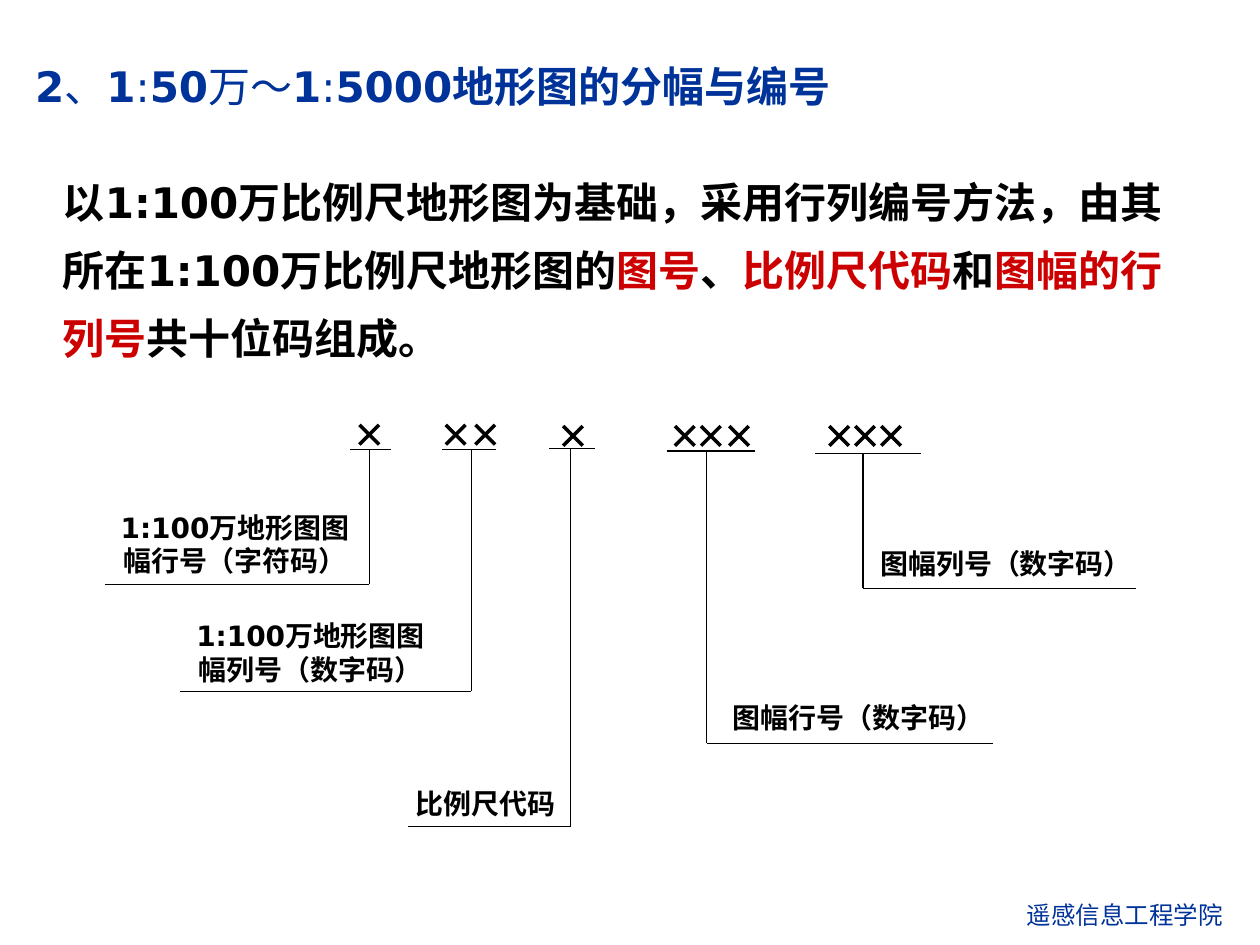
"""Build a slide on how topographic map sheets are numbered."""
from lxml import etree
from pptx import Presentation
from pptx.dml.color import RGBColor
from pptx.enum.shapes import MSO_CONNECTOR
from pptx.enum.text import PP_ALIGN
from pptx.oxml.ns import qn
from pptx.util import Pt

LINE = MSO_CONNECTOR.STRAIGHT
LEFT, MID = PP_ALIGN.LEFT, PP_ALIGN.CENTER
BLUE, RED, BLACK = "003399", "CC0000", "000000"
LATIN, HAN = "DejaVu Sans", "Noto Sans CJK SC"

deck = Presentation()
deck.slide_width, deck.slide_height = Pt(720), Pt(540)
slide = deck.slides.add_slide(deck.slide_layouts[6])


def write(place, texts, size, color, bold, align):
    box = slide.shapes.add_textbox(*map(Pt, place))
    box.text_frame.word_wrap = True
    para = box.text_frame.paragraphs[0]
    para.alignment = align
    para.font.name, para.font.size = LATIN, Pt(size)
    if bold is not None:
        para.font.bold = bold
    if color:
        para.font.color.rgb = RGBColor.from_string(color)
    for text in texts:
        para.add_run().text = text
    return para


def draw(x1, y1, x2, y2, width):
    line = slide.shapes.add_connector(LINE, Pt(x1), Pt(y1), Pt(x2), Pt(y2))
    line.line.width = Pt(width)
    line.line.color.rgb = RGBColor.from_string(BLACK)
    etree.SubElement(line.element.spPr, qn("a:effectLst"))


write((579.6, 510.5, 140.4, 24.5), ["遥感信息工程学院"], 14, BLUE, False, LEFT)

title = ["2", "、", "1", ":", "50", "万～", "1", ":", "5000地形图的分幅与编号"]
para = write((11.5, 31, 471.6, 36), title, 24, BLUE, None, MID)
for i, run in enumerate(para.runs):
    run.font.bold = i % 2 == 0

body = [
    "以1:100万比例尺地形图为基础，采用行列编号方法，由其所在1:100万比例尺地形图的",
    "图号", "、", "比例尺代码", "和", "图幅的行列号", "共十位码组成。",
]
para = write((28.8, 87.1, 663.8, 123.8), body, 24, None, True, LEFT)
para.line_spacing = 1.35
for i, run in enumerate(para.runs):
    run.font.color.rgb = RGBColor.from_string(RED if i % 2 else BLACK)

# code part: crosses, cross y, rule (left, right, y), stem (x, end), foot x, label place, label
parts = [
    ([211], 248.4, (200.2, 223.2, 257), (211, 334), 59.8,
     (54.7, 288, 159.1, 46.1), ["1:100", "万地形图图幅行号（字符码）"]),
    ([260.4, 277.3], 248.4, (252.7, 283.7, 257), (269.3, 395), 103,
     (97.9, 349.9, 159.1, 46.1), ["1:100", "万地形图图幅列号（数字码）"]),
    ([327.4], 249.1, (313.9, 339.8, 256.3), (326.2, 472.3), 233.3,
     (218.2, 445.7, 118.8, 26.6), ["比例尺代码"]),
    ([391.3, 406.2, 422.3], 249.1, (380.9, 431.3, 257.8), (403.9, 424.8), 567.4,
     (411.1, 396.7, 159.1, 26.6), ["图幅行号（数字码）"]),
    ([479.5, 494.3, 509.2], 249.1, (465.8, 526.3, 259.2), (493.2, 336.2), 649.4,
     (495.4, 308.9, 159.1, 26.6), ["图幅列号（数字码）"]),
]
half = 5.6
for marks, mid, (left, right, top), (stem, end), foot, place, label in parts:
    for x in marks:
        draw(x - half, mid + half, x + half, mid - half, 2)
        draw(x + half, mid + half, x - half, mid - half, 2)
    draw(left, top, right, top, 0.75)
    draw(stem, top, stem, end, 0.75)
    draw(stem, end, foot, end, 0.75)
    para = write(place, label, 16, BLACK, True, MID)
    for run in para.runs[1:]:
        run.font.name = HAN

deck.save("out.pptx")
